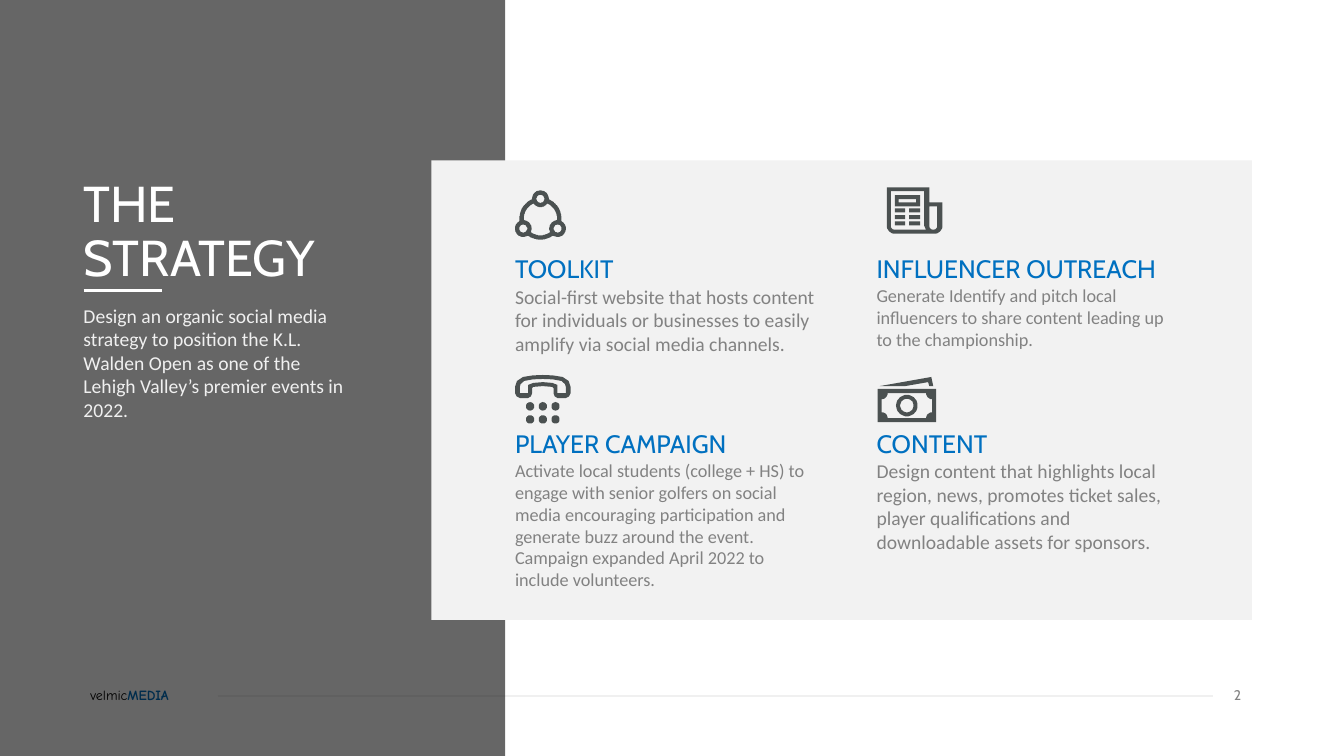
from copy import deepcopy
from math import cos, pi, sin, sqrt

from lxml.etree import SubElement
from pptx import Presentation
from pptx.dml.color import RGBColor
from pptx.enum.shapes import MSO_CONNECTOR, MSO_SHAPE
from pptx.enum.text import MSO_ANCHOR, MSO_AUTO_SIZE, PP_ALIGN
from pptx.oxml.ns import qn
from pptx.util import Cm, Pt

HUES = {
    "black": "000000", "white": "FFFFFF", "panel": "F2F2F2", "pale": "F0F0F0",
    "blue": "0070C0", "gray": "828282", "icon": "4B5151",
}
CARD_X = (12.73, 21.84)
CARD_Y = (6.32, 10.72)
CARD_W = 8.13


def hue(name):
    return RGBColor.from_string(HUES[name])


def place(shape, left, top, width, height):
    shape.left, shape.top = Cm(left), Cm(top)
    shape.width, shape.height = Cm(width), Cm(height)


def style(shape, size, font, color, anchor=MSO_ANCHOR.TOP, align=PP_ALIGN.LEFT, pitch=1.0):
    frame = shape.text_frame
    frame.word_wrap = True
    frame.auto_size = MSO_AUTO_SIZE.NONE
    frame.vertical_anchor = anchor
    for para in frame.paragraphs:
        para.alignment = align
        para.line_spacing = pitch
        para.space_before = Pt(0)
        for run in para.runs:
            run.font.size = Pt(size)
            run.font.name = font
            run.font.color.rgb = hue(color)


def add_text(slide, text, box, *look, **more):
    shape = slide.shapes.add_textbox(*map(Cm, box))
    shape.text_frame.text = text
    style(shape, *look, **more)
    return shape


def paint(shape, color):
    shape.shadow.inherit = False
    shape.fill.solid()
    shape.fill.fore_color.rgb = hue(color)
    shape.line.fill.background()


def add_block(slide, color, *box):
    shape = slide.shapes.add_shape(MSO_SHAPE.RECTANGLE, *map(Cm, box))
    paint(shape, color)
    return shape


def add_rule(slide, left, right, top, color, width):
    rule = slide.shapes.add_connector(
        MSO_CONNECTOR.STRAIGHT, Cm(left), Cm(top), Cm(right), Cm(top))
    rule.line.color.rgb = hue(color)
    rule.line.width = Pt(width)
    SubElement(rule._element.spPr, qn("a:effectLst"))


def arc(mid_x, mid_y, size, start=0, end=360):
    """Points along an arc, angles in degrees clockwise from the right."""
    steps = max(6, abs(end - start) // 10)
    turns = [(start + (end - start) * i / steps) * pi / 180 for i in range(steps + 1)]
    return [(mid_x + size * cos(t), mid_y + size * sin(t)) for t in turns]


def rect(left, top, right, low):
    return [(left, top), (right, top), (right, low), (left, low)]


def mirror(half, width):
    return half + [(width - x, y) for x, y in reversed(half)]


def network():
    """A ring that swells around three evenly spaced nodes."""
    mid_x, mid_y, reach, node = 64, 71, 50, 21
    outer, inner = [], []
    for step in range(180):
        turn = step * pi / 90
        gap = (turn + pi / 2 + pi / 3) % (2 * pi / 3) - pi / 3
        far, near = 53, 42
        room = node ** 2 - (reach * sin(gap)) ** 2
        if room > 0:
            far = max(far, reach * cos(gap) + sqrt(room))
            near = min(near, reach * cos(gap) - sqrt(room))
        outer.append((mid_x + far * cos(turn), mid_y + far * sin(turn)))
        inner.append((mid_x + near * cos(turn), mid_y + near * sin(turn)))
    nodes = [(mid_x + reach * cos(t), mid_y + reach * sin(t))
             for t in (-pi / 2, pi / 6, 5 * pi / 6)]
    return [outer, inner] + [arc(x, y, 10) for x, y in nodes]


def paper():
    edge = ([(0, 0), (107, 0), (107, 38), (140, 38)]
            + arc(120, 97, 20, 0, 90) + arc(20, 97, 20, 90, 180))
    page = [(10, 10), (94, 10), (94, 97), (99, 107)] + arc(20, 97, 10, 90, 180)
    fold = [(107, 48), (127, 48)] + arc(117, 97, 10, 0, 180)
    bars = [rect(left, top, right, top + 10)
            for top in (53, 70, 86) for left, right in ((20, 46), (56, 84))]
    return [edge, page, fold, rect(20, 20, 84, 48), rect(30, 30, 74, 38)] + bars


def phone():
    outer = [(70, 0), (45, 1), (20, 5), (5, 15), (0, 30), (0, 46), (4, 54), (12, 58),
             (33, 58), (40, 54), (43, 46), (43, 33), (46, 30), (70, 28)]
    inner = [(70, 10), (45, 11), (23, 15), (14, 23), (12, 30), (12, 46),
             (33, 46), (33, 25), (46, 20), (70, 18)]
    keys = [arc(x, y, 10.5) for y in (79, 112) for x in (38, 70, 102)]
    return [mirror(outer, 140), mirror(inner, 140)] + keys


def cash():
    field = (arc(10, 41, 15, 90, 0) + arc(137, 41, 15, 180, 90)
             + arc(137, 104, 15, 270, 180) + arc(10, 104, 15, 360, 270))
    back = [(135, 0), (140, 23), (130, 23), (127, 13), (69, 23), (5, 23)]
    return [rect(0, 30, 147, 114), field, back, arc(73.5, 72, 27), arc(73.5, 72, 17)]


def add_icon(slide, loops, left, top):
    """Draw loops given in hundredths of a centimetre; inner loops are holes."""
    pen = slide.shapes.build_freeform(*loops[0][0], scale=Cm(0.01))
    for i, loop in enumerate(loops):
        if i:
            pen.move_to(*loop[0])
        pen.add_line_segments(loop[1:], close=True)
    paint(pen.convert_to_shape(Cm(left), Cm(top)), "icon")


def add_footer(slide):
    page = add_text(slide, "2", (30.76, 17.09, 0.86, 0.84), 10, "Cabin", "gray",
                    MSO_ANCHOR.MIDDLE, PP_ALIGN.CENTER)
    frame = page.text_frame
    frame.margin_left = frame.margin_right = frame.margin_top = frame.margin_bottom = 0
    brand = add_text(slide, "velmic", (2.03, 17.09, 3.35, 0.84), 10, "Comic Neue",
                     "black", MSO_ANCHOR.MIDDLE)
    tail = brand.text_frame.paragraphs[0].add_run()
    tail.text = "MEDIA"
    tail.font.name, tail.font.size, tail.font.bold = "Comic Neue", Pt(10), True
    tail.font.color.rgb = hue("blue")
    add_rule(slide, 5.49, 30.56, 17.53, "pale", 1.5)


def add_intro(slide):
    title, body = slide.placeholders
    slide.shapes._spTree.extend([title._element, body._element])
    place(title, 1.85, 4.04, 7.24, 3.33)
    title.text_frame.text = "THE\vSTRATEGY"
    style(title, 36, "Cabin", "white", MSO_ANCHOR.BOTTOM, pitch=0.9)
    para = title.text_frame.paragraphs[0]
    para._p.find(qn("a:br")).append(deepcopy(para.runs[0]._r.rPr))

    place(body, 1.85, 7.52, 7.24, 5.92)
    body.text_frame.text = (
        "Design an organic social media strategy to position the K.L. Walden Open "
        "as one of the Lehigh Valley’s premier events in 2022.")
    props = body.text_frame.paragraphs[0]._p.get_or_add_pPr()
    props.set("marL", "0")
    props.set("indent", "0")
    SubElement(props, qn("a:buNone"))
    style(body, 14, "Calibri", "pale")
    add_rule(slide, 2.11, 4.09, 7.32, "white", 2)


def add_card(slide, col, row, head, text, size):
    left, top = CARD_X[col], CARD_Y[row]
    add_text(slide, head, (left, top, CARD_W, 0.99), 18, "Cabin", "blue",
             MSO_ANCHOR.MIDDLE, pitch=0.9)
    add_text(slide, text, (left, top + 0.73, CARD_W, 1.98), size, "Calibri", "gray")


def main():
    deck = Presentation()
    deck.slide_width, deck.slide_height = Cm(33.87), Cm(19.05)
    slide = deck.slides.add_slide(deck.slide_layouts[1])
    add_footer(slide)
    side = add_block(slide, "black", 0, 0, 12.73, 19.05)
    shade = side._element.spPr.find(qn("a:solidFill"))[0]
    SubElement(shade, qn("a:alpha"), val="60000")
    add_block(slide, "panel", 10.87, 4.04, 20.68, 11.58)
    add_intro(slide)
    add_card(slide, 0, 0, "TOOLKIT",
             "Social-first website that hosts content for individuals or businesses "
             "to easily amplify via social media channels.", 14)
    add_card(slide, 0, 1, "PLAYER CAMPAIGN",
             "Activate local students (college + HS) to engage with senior golfers on "
             "social media encouraging participation and generate buzz around the "
             "event. Campaign expanded April 2022 to include volunteers.", 13)
    add_card(slide, 1, 0, "INFLUENCER OUTREACH",
             "Generate Identify and pitch local influencers to share content leading "
             "up to the championship.", 13)
    add_card(slide, 1, 1, "CONTENT",
             "Design content that highlights local region, news, promotes ticket "
             "sales, player qualifications and downloadable assets for sponsors.", 14)
    add_icon(slide, cash(), 22.12, 9.5)
    add_icon(slide, paper(), 22.35, 4.72)
    add_icon(slide, network(), 12.98, 4.8)
    add_icon(slide, phone(), 12.98, 9.45)
    deck.save("out.pptx")


if __name__ == "__main__":
    main()
